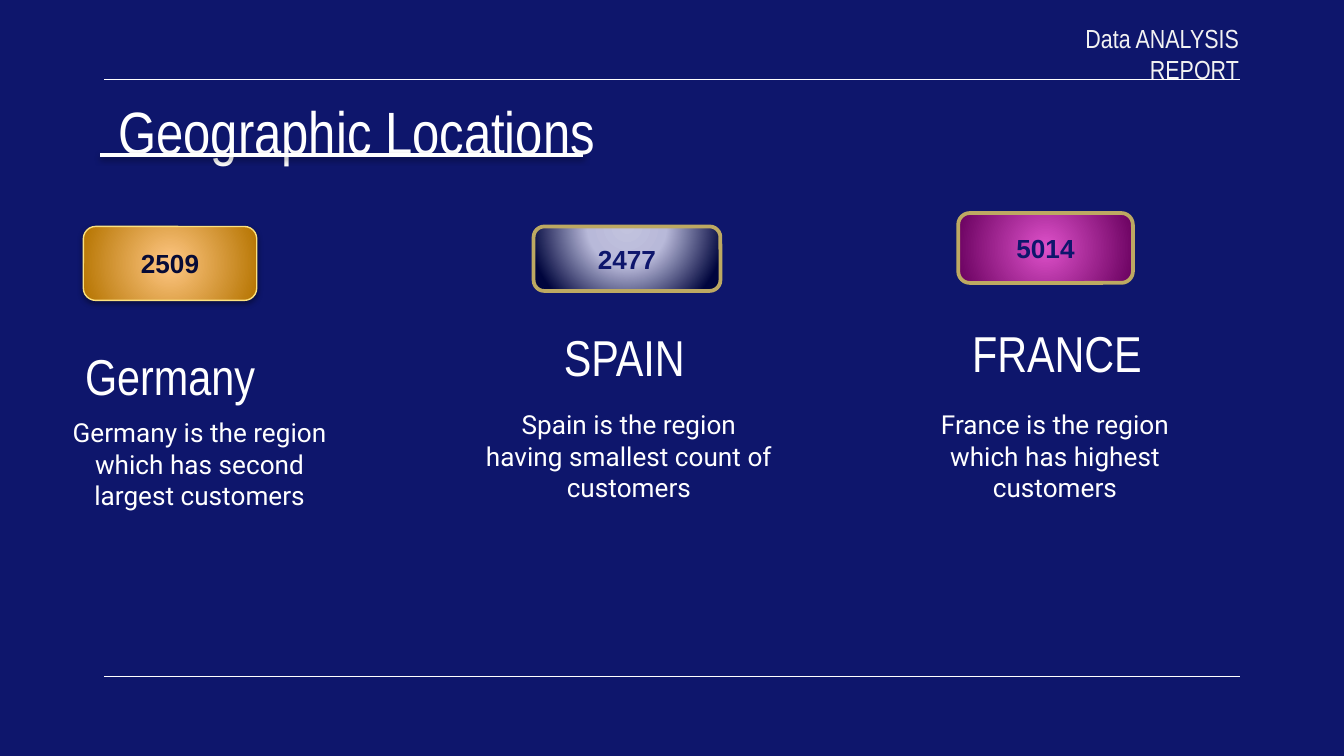
from lxml import etree
from pptx import Presentation
from pptx.dml.color import RGBColor
from pptx.enum.shapes import MSO_CONNECTOR, MSO_SHAPE
from pptx.enum.text import MSO_ANCHOR, MSO_AUTO_SIZE, PP_ALIGN
from pptx.oxml import parse_xml
from pptx.oxml.ns import qn
from pptx.util import Pt

PX = 4572  # 200 px to the inch
LEFT, CENTER, RIGHT = PP_ALIGN.LEFT, PP_ALIGN.CENTER, PP_ALIGN.RIGHT
TOP, MIDDLE = MSO_ANCHOR.TOP, MSO_ANCHOR.MIDDLE
BADGE = MSO_SHAPE.FLOWCHART_ALTERNATE_PROCESS

NAVY = RGBColor(0x0E, 0x16, 0x6C)
INK = RGBColor(0x07, 0x0B, 0x36)
WHITE = RGBColor(0xFF, 0xFF, 0xFF)
PALE = RGBColor(0xF2, 0xF2, 0xF2)
YELLOW = RGBColor(0xFC, 0xE1, 0x7F)
GOLD = RGBColor(0xBD, 0xA9, 0x62)
AMBER_LIGHT = RGBColor(0xFF, 0xC7, 0x84)
AMBER_DARK = RGBColor(0xB5, 0x74, 0x00)
LILAC = RGBColor(0xC2, 0xC3, 0xDE)
LILAC_MID = RGBColor(0xB8, 0xB9, 0xD9)
MIDNIGHT = RGBColor(0x00, 0x05, 0x3D)
PINK = RGBColor(0xDE, 0x51, 0xCA)
PLUM = RGBColor(0x68, 0x00, 0x5E)

DRAWING = 'xmlns:a="http://schemas.openxmlformats.org/drawingml/2006/main"'
SHADOW = (f'<a:outerShdw {DRAWING} blurRad="40000" dist="20000" dir="5400000" rotWithShape="0">'
          '<a:srgbClr val="000000"><a:alpha val="38000"/></a:srgbClr></a:outerShdw>')


def write(shape, text, font, size, color, align=CENTER, anchor=TOP, right_inset=20, bold=False):
    frame = shape.text_frame
    frame.word_wrap = True
    frame.auto_size = MSO_AUTO_SIZE.NONE
    frame.vertical_anchor = anchor
    frame.margin_left = frame.margin_top = frame.margin_bottom = 20 * PX
    frame.margin_right = right_inset * PX
    para = frame.paragraphs[0]
    para.alignment = align
    span = para.add_run()
    span.text = text
    span.font.name = font
    span.font.size = Pt(size)
    span.font.bold = bold
    span.font.color.rgb = color


def draw_rule(x1, x2, y, width, shadow=False):
    rule = slide.shapes.add_connector(MSO_CONNECTOR.STRAIGHT, x1 * PX, y * PX, x2 * PX, y * PX)
    rule.line.color.rgb = WHITE
    rule.line.width = Pt(width)
    effects = etree.SubElement(rule._element.spPr, qn("a:effectLst"))
    if shadow:
        effects.append(parse_xml(SHADOW))


deck = Presentation()
deck.slide_width, deck.slide_height = 2000 * PX, 1125 * PX
slide = deck.slides.add_slide(deck.slide_layouts[5])
slide.background.fill.solid()
slide.background.fill.fore_color.rgb = NAVY

# Page rules
for y in (118, 1007):
    draw_rule(155, 1845, y, 0.75)

# Title and report label
title = slide.shapes.title
title.left, title.top, title.width, title.height = [v * PX for v in (156, 121, 1688, 132)]
write(title, "Geographic Locations", "Arial Narrow", 32, WHITE, align=LEFT)
label = slide.shapes.add_textbox(1544 * PX, 47 * PX, 300 * PX, 66 * PX)
write(label, "Data ANALYSIS REPORT", "Arial Narrow", 14, PALE,
      align=RIGHT, anchor=MIDDLE, right_inset=0)

# Countries: name, its box, note, its box
countries = [
    ("Germany", (105, 496, 296, 126),
     "Germany is the region which has second largest customers", (65, 600, 464, 230)),
    ("SPAIN", (770, 484, 318, 92),
     "Spain is the region having smallest count of customers", (700, 588, 472, 196)),
    ("FRANCE", (1426, 485, 294, 78),
     "France is the region which has highest customers", (1343, 588, 454, 160)),
]
for name, name_box, note, note_box in countries:
    box = slide.shapes.add_textbox(*[v * PX for v in name_box])
    write(box, name, "Arial Narrow", 27, WHITE, anchor=MIDDLE)
    box = slide.shapes.add_textbox(*[v * PX for v in note_box])
    write(box, note, "Roboto", 14, WHITE)

# Customer counts: box, gradient stops, focus top and bottom, line, text colour, shadow
badges = [
    ("2509", (124, 337, 258, 110), [(0, AMBER_LIGHT), (100, AMBER_DARK)], (50, 50),
     YELLOW, 0.75, INK, True),
    ("2477", (794, 337, 278, 96), [(0, LILAC), (40, LILAC_MID), (100, MIDNIGHT)], (-80, 180),
     GOLD, 2, NAVY, False),
    ("5014", (1426, 317, 260, 104), [(0, PINK), (100, PLUM)], (50, 50),
     GOLD, 2, NAVY, False),
]
for count, place, stops, (focus_top, focus_bottom), edge, width, color, shadow in badges:
    badge = slide.shapes.add_shape(BADGE, *[v * PX for v in place])
    badge.line.color.rgb = edge
    badge.line.width = Pt(width)
    badge.shadow.inherit = False
    stop_xml = "".join(f'<a:gs pos="{pos * 1000}"><a:srgbClr val="{tint}"/></a:gs>'
                       for pos, tint in stops)
    gradient = parse_xml(
        f'<a:gradFill {DRAWING} rotWithShape="1"><a:gsLst>{stop_xml}</a:gsLst>'
        f'<a:path path="circle"><a:fillToRect l="50000" t="{focus_top * 1000}" '
        f'r="50000" b="{focus_bottom * 1000}"/></a:path></a:gradFill>')
    properties = badge._element.spPr
    properties.find(qn("a:prstGeom")).addnext(gradient)
    if shadow:
        properties.find(qn("a:effectLst")).append(parse_xml(SHADOW))
    write(badge, count, "Arial", 14, color, anchor=MIDDLE, bold=True)

# Title underline
draw_rule(149, 868, 231, 2, shadow=True)

deck.save("out.pptx")
